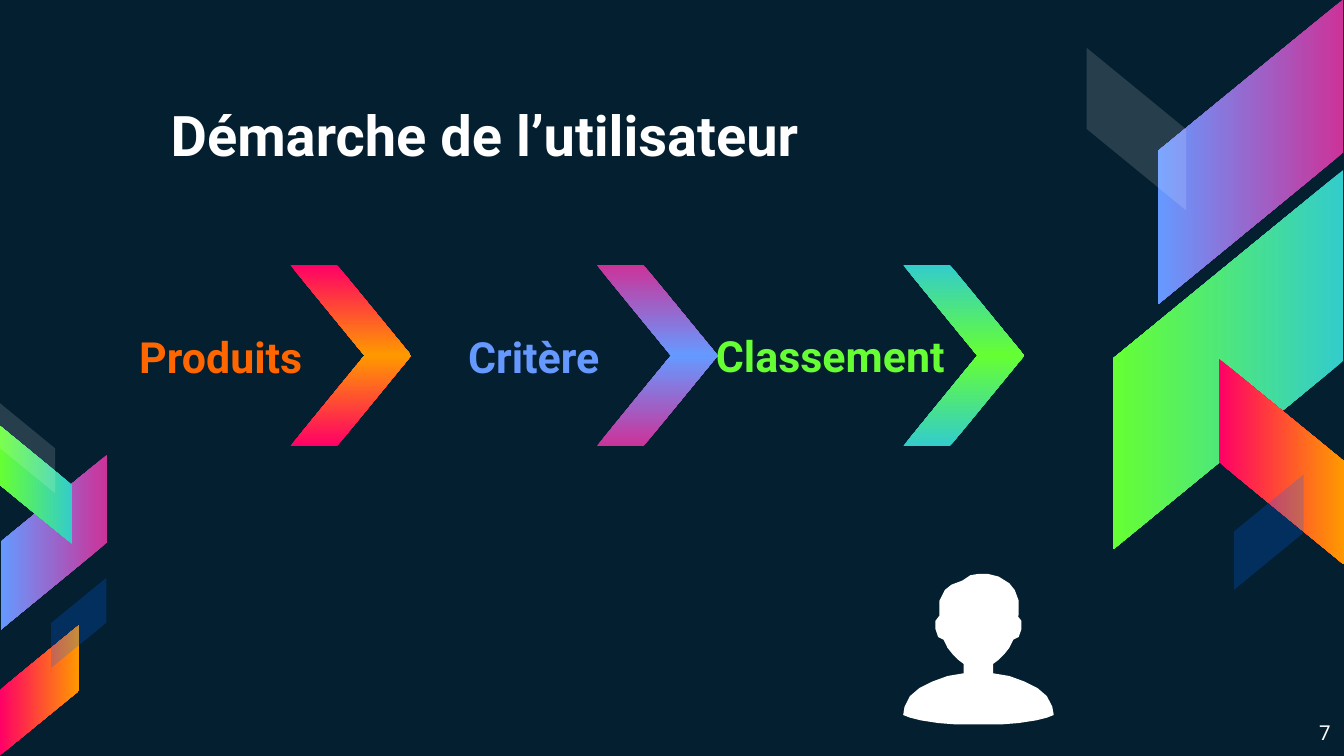
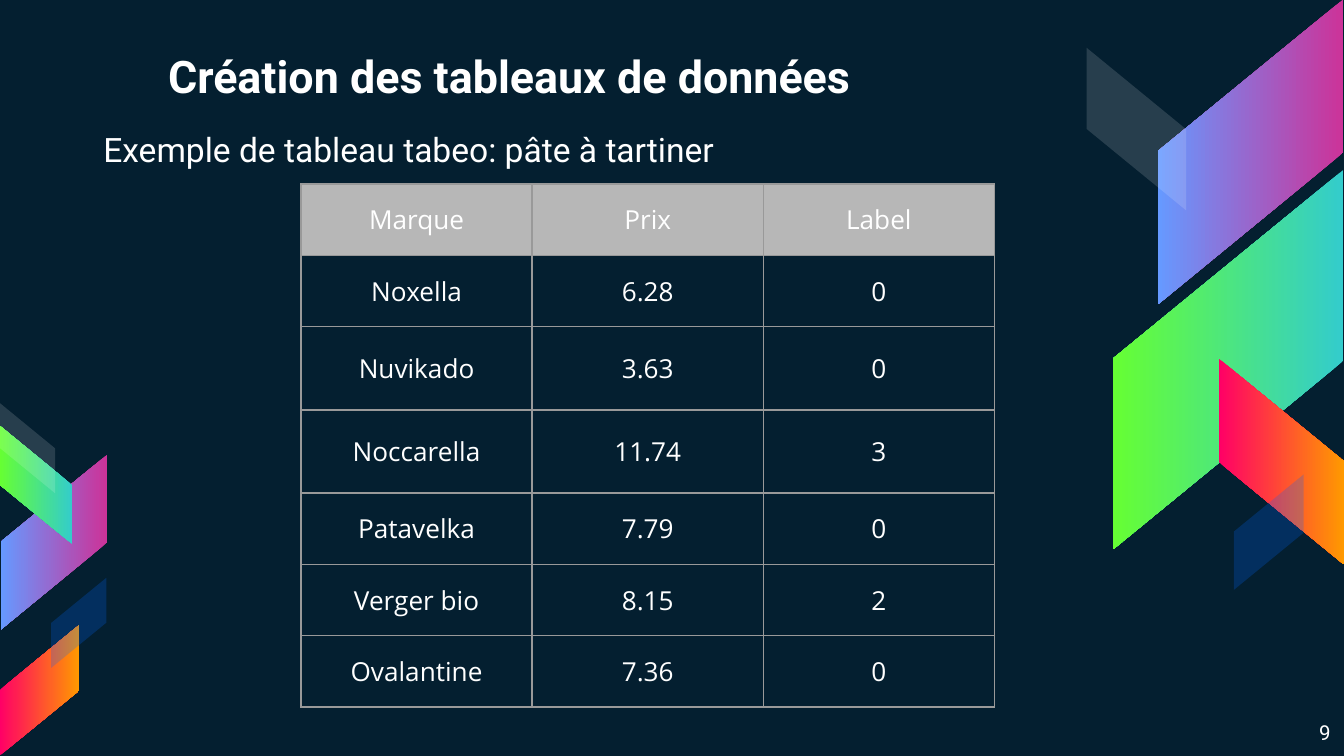
from dataclasses import dataclass
from typing import NamedTuple, Optional

from lxml.etree import SubElement
from pptx import Presentation
from pptx.dml.color import RGBColor
from pptx.enum.shapes import MSO_SHAPE
from pptx.enum.text import MSO_ANCHOR, MSO_AUTO_SIZE, PP_ALIGN
from pptx.oxml.ns import qn
from pptx.util import Emu, Inches, Pt

COLUMNS = 100
SLIDE_W, SLIDE_H = Inches(10), Inches(5.625)
UNIT = SLIDE_W / COLUMNS


@dataclass(frozen=True)
class Theme:
    background: str = "041F30"
    text: str = "FFFFFF"
    orange: str = "FF6600"
    blue: str = "6699FF"
    green: str = "66FF33"
    glass: str = "FFFFFF"
    shade: str = "0066FF"
    header: str = "B7B7B7"
    border: str = "999999"
    violet_blend: tuple[str, str] = ("CC3399", "6699FF")
    green_blend: tuple[str, str] = ("33CCCC", "66FF33")
    fire_blend: tuple[str, str] = ("FF0066", "FF9900")
    font: str = "Roboto"
    table_font: str = "Open Sans"
    title_size: int = 30
    small_title_size: int = 24
    label_size: int = 23
    subtitle_size: int = 18
    table_size: int = 14
    number_size: int = 11
    slant: float = 0.819


THEME = Theme()


class Box(NamedTuple):
    col: float
    row: float
    cols: float
    rows: float

    def emu(self) -> tuple[Emu, ...]:
        return tuple(grid(v) for v in self)


class Band(NamedTuple):
    box: Box
    turn: int
    flip: bool
    blend: Optional[tuple[str, str]] = None
    tint: str = ""
    opacity: int = 100


class Style(NamedTuple):
    size: int
    color: str = THEME.text
    bold: bool = False
    font: str = THEME.font
    align: PP_ALIGN = PP_ALIGN.LEFT
    anchor: MSO_ANCHOR = MSO_ANCHOR.TOP


class Step(NamedTuple):
    label: str
    box: Box
    color: str
    blend: tuple[str, str]


RIGHT_BANDS = (
    Band(Box(81.7, 4.4, 22.7, 13.8), 90, True, THEME.violet_blend),
    Band(Box(77.3, 18.2, 28.2, 17.1), 90, True, THEME.green_blend),
    Band(Box(87.7, 29.7, 15.3, 9.3), 270, False, THEME.fire_blend),
    Band(Box(78.5, 5.9, 12.1, 7.4), 270, False, tint=THEME.glass, opacity=14),
    Band(Box(90.1, 37, 8.6, 5.2), 270, True, tint=THEME.shade, opacity=23),
)
LEFT_BANDS = (
    Band(Box(-2.5, 36.4, 13, 7.9), 90, True, THEME.violet_blend),
    Band(Box(-1.7, 33.4, 8.8, 5.4), 90, False, THEME.green_blend),
    Band(Box(-1.9, 48.4, 9.7, 5.9), 270, True, THEME.fire_blend),
    Band(Box(-1.3, 31.3, 6.7, 4.1), 270, False, tint=THEME.glass, opacity=14),
    Band(Box(2.5, 44.3, 6.7, 4.1), 270, True, tint=THEME.shade, opacity=23),
)
STEPS = (
    Step("Produits", Box(7, 19.8, 16.5, 13.5), THEME.orange, THEME.fire_blend),
    Step("Critère", Box(25.1, 19.8, 20.5, 13.5), THEME.blue, THEME.violet_blend),
    Step("Classement", Box(50.8, 19.7, 20.5, 13.5), THEME.green, THEME.green_blend),
)
CHEVRON = Box(21.6, 19.7, 9, 6.75)
CHEVRON_PITCH = 22.8

USER_AXIS = 728
USER_HAIR = (
    (758, 458), (758, 447), (755, 439), (751, 434), (743, 429), (735, 427),
    (728, 427), (722, 428), (716, 432), (708, 435), (703, 439), (699, 447),
)
USER_SIDE = (
    (699, 458), (696, 462), (696, 468), (698, 474), (702, 476), (705, 482),
    (709, 487), (713, 491), (717, 494), (717, 501), (705, 503), (694, 507),
    (684, 512), (677, 518), (673, 526), (672, 532), (677, 534), (685, 536),
    (698, 538), (711, 539), (728, 539),
)

PRODUCTS = (
    ("Marque", "Prix", "Label"),
    ("Noxella", "6.28", "0"),
    ("Nuvikado", "3.63", "0"),
    ("Noccarella", "11.74", "3"),
    ("Patavelka", "7.79", "0"),
    ("Verger bio", "8.15", "2"),
    ("Ovalantine", "7.36", "0"),
)
PRODUCT_COL = 17.2
PRODUCT_ROWS = (5.3, 5.3, 6.2, 6.2, 5.3, 5.3, 5.3)


def grid(units: float) -> Emu:
    return Emu(round(units * UNIT))


def rgb(color: str) -> RGBColor:
    return RGBColor.from_string(color)


def write(tf, text: str, style: Style) -> None:
    p = tf.paragraphs[0]
    p.alignment = style.align
    r = p.add_run()
    r.text = text
    r.font.name = style.font
    r.font.size = Pt(style.size)
    r.font.bold = style.bold
    r.font.color.rgb = rgb(style.color)


def fill_frame(sp, text: str, style: Style) -> None:
    tf = sp.text_frame
    tf.word_wrap = True
    tf.auto_size = MSO_AUTO_SIZE.NONE
    tf.vertical_anchor = style.anchor
    tf.margin_left = tf.margin_right = tf.margin_top = tf.margin_bottom = grid(1)
    write(tf, text, style)


def add_label(slide, box: Box, text: str, style: Style) -> None:
    fill_frame(slide.shapes.add_textbox(*box.emu()), text, style)


def set_title(slide, box: Box, text: str, size: int) -> None:
    sp = slide.shapes.title
    sp.left, sp.top, sp.width, sp.height = box.emu()
    fill_frame(sp, text, Style(size, bold=True, anchor=MSO_ANCHOR.BOTTOM))


def add_number(slide, number: int) -> None:
    style = Style(THEME.number_size, align=PP_ALIGN.RIGHT)
    add_label(slide, Box(93.6, 52.6, 6.4, 3.6), str(number), style)


def add_band(shapes, band: Band) -> None:
    sp = shapes.add_shape(MSO_SHAPE.PARALLELOGRAM, *band.box.emu())
    sp.adjustments[0] = THEME.slant
    sp.rotation = band.turn
    sp.shadow.inherit = False
    sp.line.fill.background()
    if band.flip:
        sp.element.spPr.get_or_add_xfrm().set("flipH", "1")
    if band.blend:
        sp.fill.gradient()
        sp.fill.gradient_angle = 270
        for stop, color in zip(sp.fill.gradient_stops, band.blend):
            stop.color.rgb = rgb(color)
    else:
        sp.fill.solid()
        sp.fill.fore_color.rgb = rgb(band.tint)
        color = sp.element.spPr.find(qn("a:solidFill"))[0]
        SubElement(color, qn("a:alpha")).set("val", str(band.opacity * 1000))


def add_band_group(slide, bands: tuple[Band, ...]):
    group = slide.shapes.add_group_shape()
    for band in bands:
        add_band(group.shapes, band)
    return group


def move_to_layout(layout, groups: list) -> None:
    tree = layout.shapes.element if hasattr(layout.shapes, "element") else layout.element.cSld.spTree
    names = [e for g in groups for e in g.element.iter(qn("p:cNvPr"))]
    for number, name in enumerate(names, 100):
        name.set("id", str(number))
    for place, group in enumerate(groups, 2):
        tree.insert(place, group.element)


def add_chevron(slide, position: int, blend: tuple[str, str]) -> None:
    top = CHEVRON._replace(col=CHEVRON.col + position * CHEVRON_PITCH)
    bottom = top._replace(row=top.row + top.rows)
    add_band_group(slide, (Band(top, 0, True, blend), Band(bottom, 180, False, blend)))


def add_user(slide) -> None:
    mirrored = [(2 * USER_AXIS - x, y) for x, y in reversed(USER_SIDE[:-1])]
    first, *rest = [*USER_HAIR, *USER_SIDE, *mirrored]
    builder = slide.shapes.build_freeform(*first, scale=UNIT / 10)
    builder.add_line_segments(rest, close=True)
    sp = builder.convert_to_shape()
    sp.shadow.inherit = False
    sp.fill.solid()
    sp.fill.fore_color.rgb = rgb(THEME.text)
    sp.line.fill.background()


def add_borders(cell) -> None:
    props = cell._tc.get_or_add_tcPr()
    for side in ("a:lnL", "a:lnR", "a:lnT", "a:lnB"):
        line = SubElement(props, qn(side), w=str(Pt(1)))
        paint = SubElement(line, qn("a:solidFill"))
        SubElement(paint, qn("a:srgbClr"), val=THEME.border)


def add_products(slide) -> None:
    cols = len(PRODUCTS[0])
    box = Box(22.4, 13.7, cols * PRODUCT_COL, sum(PRODUCT_ROWS))
    table = slide.shapes.add_table(len(PRODUCTS), cols, *box.emu()).table
    table.first_row = table.horz_banding = False
    style = Style(THEME.table_size, font=THEME.table_font, align=PP_ALIGN.CENTER)
    for column in table.columns:
        column.width = grid(PRODUCT_COL)
    for i, (height, values) in enumerate(zip(PRODUCT_ROWS, PRODUCTS)):
        table.rows[i].height = grid(height)
        for cell, value in zip(table.rows[i].cells, values):
            cell.vertical_anchor = MSO_ANCHOR.MIDDLE
            cell.margin_left = cell.margin_right = grid(1)
            cell.margin_top = cell.margin_bottom = grid(0.7)
            add_borders(cell)
            if i == 0:
                cell.fill.solid()
                cell.fill.fore_color.rgb = rgb(THEME.header)
            else:
                cell.fill.background()
            write(cell.text_frame, value, style)


def build_journey(slide) -> None:
    set_title(slide, Box(11.7, 6.5, 65.3, 7), "Démarche de l’utilisateur", THEME.title_size)
    for position, step in enumerate(STEPS):
        add_chevron(slide, position, step.blend)
    for step in STEPS:
        style = Style(THEME.label_size, step.color, True,
                      align=PP_ALIGN.RIGHT, anchor=MSO_ANCHOR.MIDDLE)
        add_label(slide, step.box, step.label, style)
    add_number(slide, 7)
    add_user(slide)


def build_data(slide) -> None:
    set_title(slide, Box(11.5, 1.6, 65.3, 7), "Création des tableaux de données",
              THEME.small_title_size)
    add_number(slide, 9)
    add_products(slide)
    add_label(slide, Box(6.7, 8.6, 61.9, 3.6),
              "Exemple de tableau tabeo: pâte à tartiner", Style(THEME.subtitle_size))


def main() -> None:
    prs = Presentation()
    prs.slide_width, prs.slide_height = SLIDE_W, SLIDE_H
    fill = prs.slide_master.background.fill
    fill.solid()
    fill.fore_color.rgb = rgb(THEME.background)
    layout = prs.slide_layouts.get_by_name("Title Only")
    journey, data = (prs.slides.add_slide(layout) for _ in range(2))
    move_to_layout(layout, [add_band_group(journey, b) for b in (RIGHT_BANDS, LEFT_BANDS)])
    build_journey(journey)
    build_data(data)
    prs.save("out.pptx")


if __name__ == "__main__":
    main()
